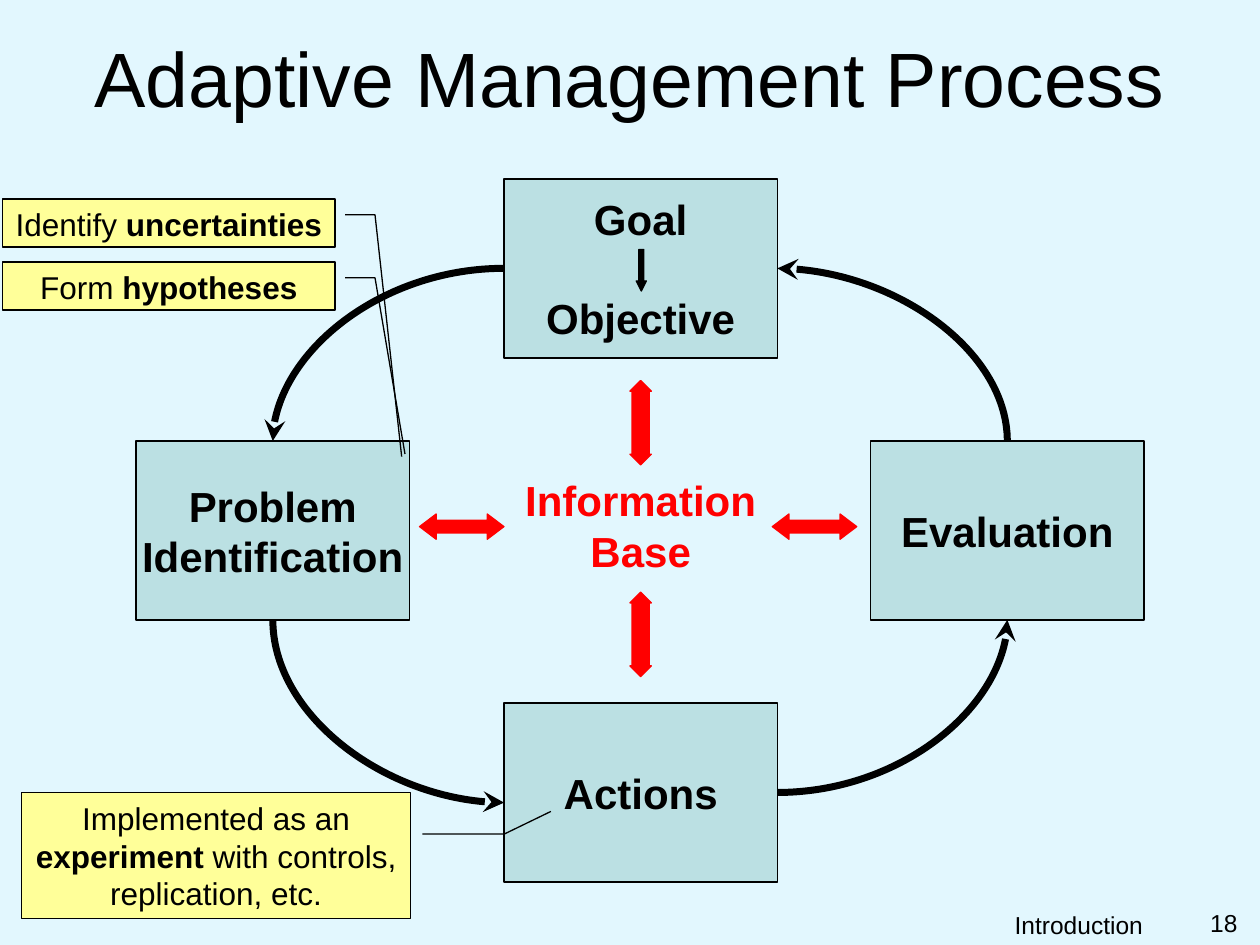
"""Build the adaptive management cycle slide."""
from dataclasses import dataclass

from lxml.etree import SubElement
from pptx import Presentation
from pptx.dml.color import RGBColor
from pptx.enum.shapes import MSO_CONNECTOR, MSO_SHAPE
from pptx.enum.text import MSO_ANCHOR as Anchor, PP_ALIGN as Align
from pptx.oxml.ns import qn
from pptx.util import Inches, Pt

BLACK = RGBColor(0, 0, 0)
RED = RGBColor(0xFF, 0, 0)
TEAL = RGBColor(0xBB, 0xE0, 0xE3)
YELLOW = RGBColor(0xFF, 0xFF, 0x99)
SKY = RGBColor(0xE2, 0xF7, 0xFE)

BOX_WIDTH, BOX_HEIGHT = 2.17, 1.42
TOP, LEFT, BOTTOM, RIGHT = range(4)


@dataclass(frozen=True)
class Label:
    text: str
    left: float
    top: float
    width: float
    height: float
    size: int
    align: Align = Align.RIGHT
    anchor: Anchor = Anchor.TOP
    color: RGBColor = BLACK
    bold: bool = False
    wrap: bool = True


@dataclass(frozen=True)
class Stage:
    text: str
    left: float
    top: float
    line_gap: int = 0


@dataclass(frozen=True)
class Arrow:
    kind: MSO_SHAPE
    left: float
    top: float
    width: float
    height: float
    head: float
    color: RGBColor = RED


@dataclass(frozen=True)
class Callout:
    spans: tuple[tuple[str, bool], ...]
    left: float
    top: float
    width: float
    height: float
    leader: tuple[float, ...]


@dataclass(frozen=True)
class Curve:
    start: tuple[str, int]
    end: tuple[str, int]
    rotation: int = 0
    end_shift: float = 0


LABELS = (
    Label("Introduction", 6, 7.17, 3.17, 0.25, 14),
    Label("18", 9.25, 7.16, 0.67, 0.34, 14),
    Label("Adaptive Management Process", 0.07, 0.13, 9.86, 0.95, 44,
          Align.CENTER, Anchor.MIDDLE),
    Label("Information\nBase", 4.07, 3.72, 2.03, 0.9, 24,
          Align.CENTER, color=RED, bold=True, wrap=False),
)
STAGES = (
    Stage("Goal\nObjective", 4, 1.42, 28),
    Stage("Actions", 4, 5.58),
    Stage("Problem\nIdentification", 1.08, 3.5),
    Stage("Evaluation", 6.91, 3.5),
)
ARROWS = (
    Arrow(MSO_SHAPE.UP_DOWN_ARROW, 5, 3.02, 0.17, 0.67, 0.8),
    Arrow(MSO_SHAPE.UP_DOWN_ARROW, 5, 4.7, 0.17, 0.67, 0.8),
    Arrow(MSO_SHAPE.DOWN_ARROW, 5.05, 1.98, 0.08, 0.33, 1, BLACK),
    Arrow(MSO_SHAPE.LEFT_RIGHT_ARROW, 3.33, 4.08, 0.67, 0.2, 0.66),
    Arrow(MSO_SHAPE.LEFT_RIGHT_ARROW, 6.13, 4.08, 0.67, 0.2, 0.66),
)
CURVES = (
    Curve(("Actions", RIGHT), ("Evaluation", BOTTOM)),
    Curve(("Evaluation", TOP), ("Goal", RIGHT), 90),
    Curve(("Goal", LEFT), ("Problem", TOP)),
    Curve(("Problem", BOTTOM), ("Actions", LEFT), 270, 0.08),
)
CALLOUTS = (
    Callout((("Identify ", False), ("uncertainties", True)),
            0.02, 1.58, 2.64, 0.38, (0.33, 1.03, 0.33, 1.12, 5.38, 1.2)),
    Callout((("Implemented as an ", False), ("experiment", True),
             (" with controls, replication, etc.", False)),
            0.17, 6.29, 3.09, 1, (0.33, 1.03, 0.33, 1.24, 0.15, 1.36)),
    Callout((("Form ", False), ("hypotheses", True)),
            0.02, 2.08, 2.64, 0.38, (0.33, 1.03, 0.33, 1.12, 4.01, 1.21)),
)


def style_text(frame, size: int, align: Align, color: RGBColor = BLACK) -> None:
    for para in frame.paragraphs:
        para.alignment = align
        for span in para.runs:
            span.font.name = "Arial"
            span.font.size = Pt(size)
            span.font.color.rgb = color


def set_bold(frame) -> None:
    for para in frame.paragraphs:
        for span in para.runs:
            span.font.bold = True


def add_label(page, label: Label) -> None:
    box = page.shapes.add_textbox(Inches(label.left), Inches(label.top),
                                  Inches(label.width), Inches(label.height))
    frame = box.text_frame
    frame.word_wrap = label.wrap
    frame.vertical_anchor = label.anchor
    frame.text = label.text
    style_text(frame, label.size, label.align, label.color)
    if label.bold:
        set_bold(frame)


def add_block(page, kind, left: float, top: float, width: float, height: float,
              fill: RGBColor, line: RGBColor = BLACK):
    block = page.shapes.add_shape(kind, Inches(left), Inches(top),
                                  Inches(width), Inches(height))
    block.shadow.inherit = False
    block.fill.solid()
    block.fill.fore_color.rgb = fill
    block.line.color.rgb = line
    block.line.width = Pt(0.75)
    return block


def add_stage(page, stage: Stage):
    block = add_block(page, MSO_SHAPE.FLOWCHART_PROCESS, stage.left, stage.top,
                      BOX_WIDTH, BOX_HEIGHT, TEAL)
    frame = block.text_frame
    frame.word_wrap = False
    frame.vertical_anchor = Anchor.MIDDLE
    frame.text = stage.text
    style_text(frame, 24, Align.CENTER)
    set_bold(frame)
    for para in frame.paragraphs[1:]:
        para.space_before = Pt(stage.line_gap)
    return block


def add_arrow(page, arrow: Arrow) -> None:
    block = add_block(page, arrow.kind, arrow.left, arrow.top, arrow.width,
                      arrow.height, arrow.color, arrow.color)
    block.adjustments[0] = 0.5
    block.adjustments[1] = arrow.head


def add_callout(page, callout: Callout) -> None:
    block = add_block(page, MSO_SHAPE.LINE_CALLOUT_2, callout.left, callout.top,
                      callout.width, callout.height, YELLOW)
    for index, value in enumerate(callout.leader):
        block.adjustments[index] = value
    frame = block.text_frame
    frame.word_wrap = True
    frame.vertical_anchor = Anchor.TOP
    for text, bold in callout.spans:
        span = frame.paragraphs[0].add_run()
        span.text = text
        span.font.bold = bold
    style_text(frame, 18, Align.CENTER)


def add_curve(page, curve: Curve, blocks: dict) -> None:
    link = page.shapes.add_connector(MSO_CONNECTOR.CURVE, 0, 0, 0, 0)
    link.begin_connect(blocks[curve.start[0]], curve.start[1])
    link.end_connect(blocks[curve.end[0]], curve.end[1])
    if curve.end_shift:
        link.end_y += Inches(curve.end_shift)
        joint = link._element.find(".//" + qn("a:endCxn"))
        joint.getparent().remove(joint)
    link.line.color.rgb = BLACK
    link.line.width = Pt(4)
    SubElement(link.line._get_or_add_ln(), qn("a:tailEnd"), type="stealth")
    properties = link._element.spPr
    SubElement(properties, qn("a:effectLst"))
    properties.find(qn("a:prstGeom")).set("prst", "curvedConnector2")
    if curve.rotation:
        left, top, width, height = link.left, link.top, link.width, link.height
        link.left, link.top = left + (width - height) // 2, top + (height - width) // 2
        link.width, link.height = height, width
        frame = properties.find(qn("a:xfrm"))
        frame.attrib.clear()
        frame.set("rot", str(curve.rotation * 60000))
        frame.set("flipH", "1")


def main() -> None:
    deck = Presentation()
    deck.slide_width, deck.slide_height = Inches(10), Inches(7.5)
    page = deck.slides.add_slide(deck.slide_layouts[6])
    page.background.fill.solid()
    page.background.fill.fore_color.rgb = SKY
    for label in LABELS:
        add_label(page, label)
    blocks = {stage.text.split("\n")[0]: add_stage(page, stage) for stage in STAGES}
    for arrow in ARROWS:
        add_arrow(page, arrow)
    for curve in CURVES:
        add_curve(page, curve, blocks)
    for callout in CALLOUTS:
        add_callout(page, callout)
    deck.save("out.pptx")


if __name__ == "__main__":
    main()
